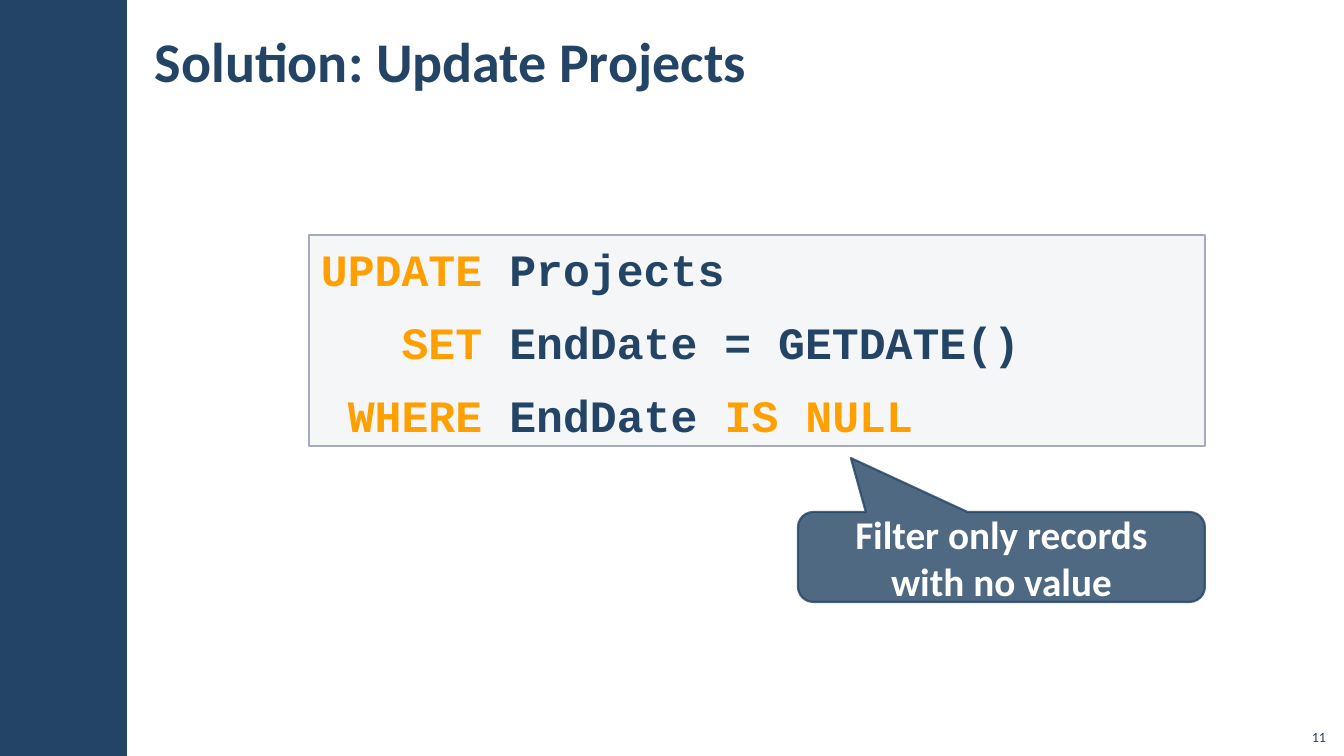
"""Build the "Solution: Update Projects" slide with its SQL code box and callout."""
from lxml import etree
from pptx import Presentation
from pptx.dml.color import RGBColor
from pptx.enum.shapes import MSO_SHAPE
from pptx.enum.text import MSO_ANCHOR, MSO_AUTO_SIZE, PP_ALIGN
from pptx.oxml.ns import qn
from pptx.util import Pt

PX = 914400 / 100.8
NAVY = RGBColor(0x23, 0x44, 0x65)
ORANGE = RGBColor(0xFF, 0xA0, 0x00)
CODE_FILL = RGBColor(0xC2, 0xC7, 0xD2)
CODE_LINE = RGBColor(0xA3, 0xAB, 0xBC)
WHITE = RGBColor(0xFF, 0xFF, 0xFF)
RECTANGLE = MSO_SHAPE.RECTANGLE
CALLOUT = MSO_SHAPE.ROUNDED_RECTANGULAR_CALLOUT
FIT_SHAPE = MSO_AUTO_SIZE.SHAPE_TO_FIT_TEXT
TOP, MIDDLE, BOTTOM = MSO_ANCHOR.TOP, MSO_ANCHOR.MIDDLE, MSO_ANCHOR.BOTTOM
LEFT, CENTER, RIGHT = PP_ALIGN.LEFT, PP_ALIGN.CENTER, PP_ALIGN.RIGHT


def px(*lengths):
    """Turn pixel lengths into EMU."""
    return [round(length * PX) for length in lengths]


def paint(fill, color, opacity=100):
    """Give a fill a solid colour with an opacity in percent."""
    fill.solid()
    fill.fore_color.rgb = color
    if opacity < 100:
        for color_element in fill._xPr.iter(qn("a:srgbClr")):
            etree.SubElement(color_element, qn("a:alpha"), val=str(opacity * 1000))


presentation = Presentation()
presentation.slide_width, presentation.slide_height = px(1344, 756)
slide = presentation.slides.add_slide(presentation.slide_layouts[6])
shapes = slide.shapes

sidebar = shapes.add_shape(RECTANGLE, *px(0, 0, 127, 756))
paint(sidebar.fill, NAVY)
sidebar.line.fill.background()

title = shapes.add_textbox(*px(143, 11, 951, 98))
code = shapes.add_shape(RECTANGLE, *px(309, 235, 896, 211))
paint(code.fill, CODE_FILL, 15)
paint(code.line.fill, CODE_LINE)
code.line.width = Pt(1)

callout = shapes.add_shape(CALLOUT, *px(798, 512, 407, 90))
for index, adjustment in enumerate((-0.37, -1.1, 0.17)):
    callout.adjustments[index] = adjustment
paint(callout.fill, NAVY, 80)
paint(callout.line.fill, NAVY, 80)
callout.line.width = Pt(1.5)

number = shapes.add_textbox(*px(1295, 718, 41, 32))

for shape in (sidebar, code, callout):
    shape.shadow.inherit = False

texts = [
    (title, MIDDLE, LEFT, (12, 4), "Calibri", 40, True,
     [[("Solution: Update Projects", NAVY)]]),
    (code, TOP, LEFT, (12, 4), "Courier New", 32, True,
     [[("UPDATE", ORANGE), (" Projects", NAVY)],
      [("   SET", ORANGE), (" EndDate = GETDATE()", NAVY)],
      [(" WHERE", ORANGE), (" EndDate ", NAVY), ("IS NULL", ORANGE)]]),
    (callout, MIDDLE, CENTER, (10, 5), "Calibri", 28, True,
     [[("Filter only records", WHITE)], [("with no value", WHITE)]]),
    (number, BOTTOM, RIGHT, (10, 5), "Calibri", 10, False, [[("11", NAVY)]]),
]
for shape, anchor, alignment, insets, font_name, size, bold, lines in texts:
    frame = shape.text_frame
    frame.word_wrap = True
    frame.vertical_anchor = anchor
    frame.margin_left, frame.margin_top = px(*insets)
    frame.margin_right, frame.margin_bottom = px(*insets)
    for index, line in enumerate(lines):
        paragraph = frame.add_paragraph() if index else frame.paragraphs[0]
        paragraph.alignment = alignment
        paragraph.font.name = font_name
        paragraph.font.size = Pt(size)
        paragraph.font.bold = bold
        for text, color in line:
            run = paragraph.add_run()
            run.text = text
            run.font.color.rgb = color

code.text_frame.auto_size = FIT_SHAPE
for index, paragraph in enumerate(code.text_frame.paragraphs):
    paragraph.line_spacing = 1.05
    paragraph.space_before = Pt(6 if index else 0)
    paragraph.space_after = Pt(6)

presentation.save("out.pptx")
